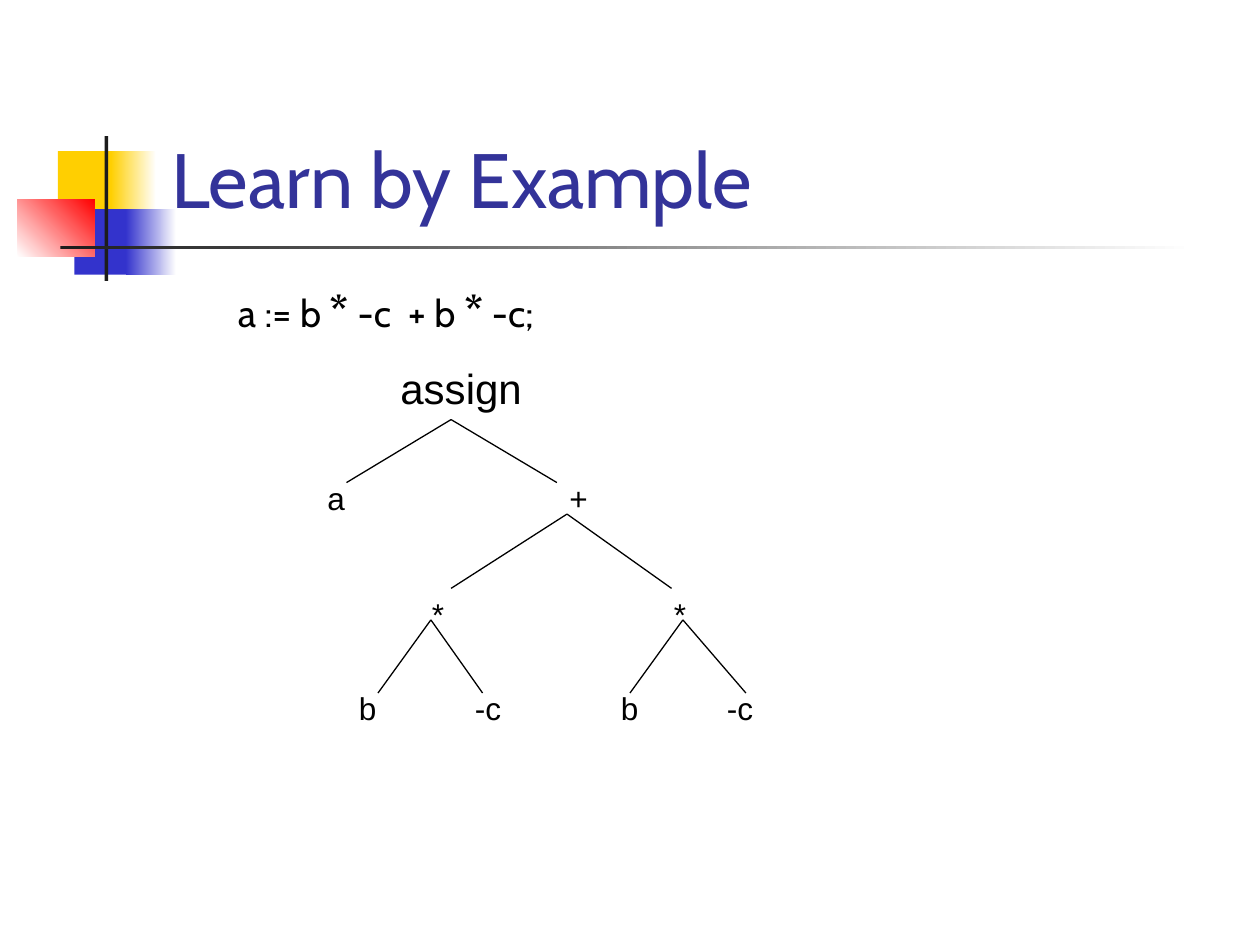
"""Build a slide showing the syntax tree of an assignment."""
from dataclasses import dataclass

from pptx import Presentation
from pptx.dml.color import RGBColor
from pptx.enum.shapes import MSO_CONNECTOR as Connector, MSO_SHAPE as Shape
from pptx.enum.text import MSO_ANCHOR as Anchor
from pptx.oxml import parse_xml
from pptx.oxml.ns import nsdecls
from pptx.slide import Slide
from pptx.util import Inches, Pt

COLORS = {
    "yellow": "FFCF01", "blue": "3333CC", "red": "FF0000", "ink": "1C1C1C",
    "white": "FFFFFF", "title": "333399", "black": "000000",
}


def rgb(name):
    return RGBColor.from_string(COLORS[name])


@dataclass
class TreeSlide:
    slide: Slide
    heading_font: str = "Cabin"
    label_font: str = "Arial"
    edge_width: float = 0.75

    def block(self, box, start, end=None, angle=0):
        block = self.slide.shapes.add_shape(Shape.RECTANGLE, *map(Inches, box))
        block.shadow.inherit = False
        block.line.fill.background()
        if end is None:
            block.fill.solid()
            block.fill.fore_color.rgb = rgb(start)
            return
        block.fill.gradient()
        block.fill.gradient_angle = angle
        for stop, position, color in zip(block.fill.gradient_stops, (0, 1), (start, end)):
            stop.position = position
            stop.color.rgb = rgb(color)

    def text(self, box, runs, font, color="black", anchor=Anchor.TOP, indent=0):
        frame = self.slide.shapes.add_textbox(*map(Inches, box)).text_frame
        frame.word_wrap = True
        frame.vertical_anchor = anchor
        frame.margin_left = frame.margin_right = Inches(0.1)
        frame.margin_top = frame.margin_bottom = Inches(0.05)
        paragraph = frame.paragraphs[0]
        if indent:
            paragraph._p.get_or_add_pPr().set("marL", str(Inches(indent)))
        for words, size, bold in runs:
            run = paragraph.add_run()
            run.text = words
            run.font.name = font
            run.font.size = Pt(size)
            run.font.bold = bold
            run.font.color.rgb = rgb(color)

    def label(self, left, top, width, words, size=18, height=0.4):
        self.text((left, top, width, height), [(words, size, False)], self.label_font)

    def edge(self, start, end):
        edge = self.slide.shapes.add_connector(
            Connector.STRAIGHT, *map(Inches, (*start, *end)))
        edge.line.color.rgb = rgb("black")
        edge.line.width = Pt(self.edge_width)
        edge._element.spPr.append(parse_xml(f"<a:effectLst {nsdecls('a')}/>"))

    def branch(self, parent, child_xs, child_y):
        for child_x in child_xs:
            self.edge(parent, (child_x, child_y))


def main():
    deck = Presentation()
    deck.slide_width, deck.slide_height = Inches(10), Inches(7.5)
    page = TreeSlide(deck.slides.add_slide(deck.slide_layouts[6]))

    page.block((0.46, 1.2, 0.48, 0.52), "yellow")
    page.block((0.88, 1.2, 0.36, 0.52), "yellow", "white")
    page.block((0.59, 1.66, 0.46, 0.52), "blue")
    page.block((1, 1.66, 0.4, 0.52), "blue", "white")
    page.block((0.14, 1.58, 0.61, 0.46), "white", "red", angle=45)
    page.block((0.83, 1.08, 0.03, 1.15), "ink")
    page.block((0.48, 1.95, 9, 0.03), "ink", "white")

    page.text((1.26, 0.23, 8.52, 1.6), [("Learn by Example", 44, False)],
              page.heading_font, "title", Anchor.BOTTOM)
    term, times = 21.7, ("*", 24.8, True)
    statement = [("a := b ", term, False), times, (" -c  + b ", term, False),
                 times, (" -c;", term, False)]
    page.text((1.29, 2.21, 8.42, 0.53), statement, page.heading_font, indent=0.5)

    page.label(3.08, 2.83, 1.33, "assign", size=24, height=0.5)
    page.label(2.5, 3.75, 0.33, "a")
    page.label(4.42, 3.75, 0.42, "+")
    for left, width in ((3.33, 0.25), (5.25, 0.83)):
        page.label(left, 4.67, width, "*")
    for left, operand in ((2.75, "b"), (3.67, "-c"), (4.83, "b"), (5.67, "-c")):
        page.label(left, 5.42, 0.42, operand)

    page.branch((3.58, 3.33), (2.75, 4.42), 3.83)
    page.branch((4.5, 4.08), (3.58, 5.33), 4.67)
    page.branch((3.42, 4.92), (3, 3.83), 5.5)
    page.branch((5.42, 4.92), (5, 5.92), 5.5)

    deck.save("out.pptx")


if __name__ == "__main__":
    main()
